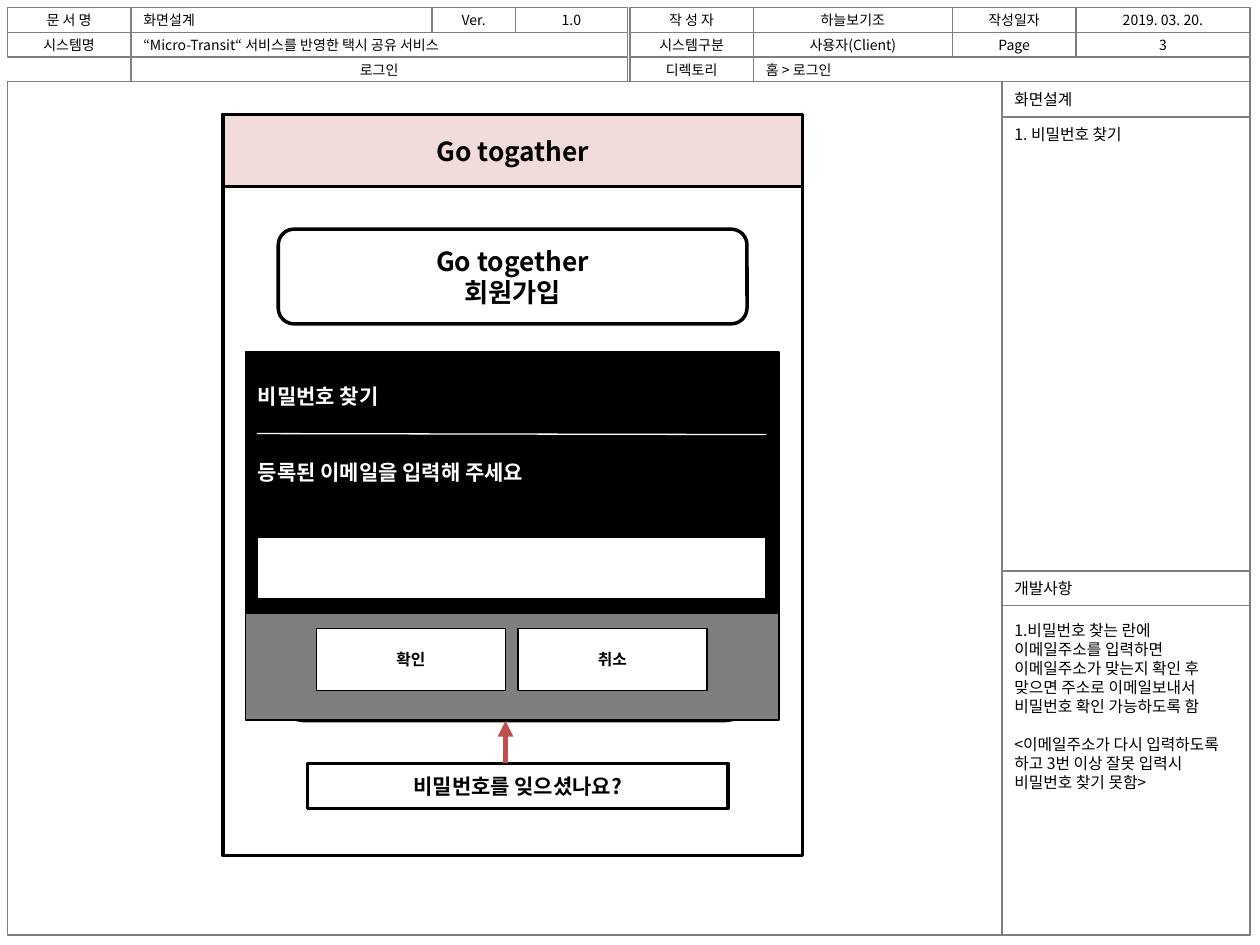
from lxml import etree
from pptx import Presentation
from pptx.dml.color import RGBColor
from pptx.enum.shapes import MSO_CONNECTOR, MSO_SHAPE
from pptx.enum.text import MSO_ANCHOR, PP_ALIGN
from pptx.oxml.ns import qn
from pptx.util import Cm, Pt

RECT, ROUND = MSO_SHAPE.RECTANGLE, MSO_SHAPE.ROUNDED_RECTANGLE
LEFT, CENTER = PP_ALIGN.LEFT, PP_ALIGN.CENTER
TOP, MIDDLE = MSO_ANCHOR.TOP, MSO_ANCHOR.MIDDLE
FONT = "Noto Sans CJK KR"
BLACK = RGBColor(0x00, 0x00, 0x00)
WHITE = RGBColor(0xFF, 0xFF, 0xFF)
GRAY = RGBColor(0x7F, 0x7F, 0x7F)
PINK = RGBColor(0xF2, 0xDC, 0xDB)
RED = RGBColor(0xC0, 0x50, 0x4D)

# Header grid in cm; each cell is (row, left edge, right edge, text, alignment)
EDGES = [0.15, 2.64, 8.71, 10.39, 12.65, 12.7, 15.19, 19.2, 21.69, 25.2]
HEADER_TOP, ROW_H = 0.15, 0.5
HEADER = [
    (0, 0, 1, "문 서 명", CENTER),
    (0, 1, 2, "화면설계", LEFT),
    (0, 2, 3, "Ver.", CENTER),
    (0, 3, 4, "1.0", CENTER),
    (0, 5, 6, "작 성 자", CENTER),
    (0, 6, 7, "하늘보기조", CENTER),
    (0, 7, 8, "작성일자", CENTER),
    (0, 8, 9, "2019. 03. 20.", CENTER),
    (1, 0, 1, "시스템명", CENTER),
    (1, 1, 4, "“Micro-Transit“ 서비스를 반영한 택시 공유 서비스", LEFT),
    (1, 5, 6, "시스템구분", CENTER),
    (1, 6, 7, "사용자(Client)", CENTER),
    (1, 7, 8, "Page", CENTER),
    (1, 8, 9, "3", CENTER),
    (2, 1, 4, "로그인", CENTER),
    (2, 5, 6, "디렉토리", CENTER),
    (2, 6, 9, "홈 > 로그인", LEFT),
]

# Side panels: top, bottom, lines, anchor, top inset, right inset, space between
PANEL_X, PANEL_W = 20.2, 5
PANELS = [
    (2.36, 11.51, ["1. 비밀번호 찾기"], TOP, 0.16, 0.25, 0),
    (1.65, 2.36, ["화면설계"], MIDDLE, 0.13, 0.25, 0),
    (11.51, 12.21, ["개발사항"], MIDDLE, 0.13, 0.25, 0),
    (12.21, 18.85, [
        "1.비밀번호 찾는 란에 이메일주소를 입력하면 이메일주소가 맞는지 확인 후 "
        "맞으면 주소로 이메일보내서 비밀번호 확인 가능하도록 함",
        "<이메일주소가 다시 입력하도록 하고 3번 이상 잘못 입력시 비밀번호 찾기 못함>",
    ], TOP, 0.31, 0.56, 10.9),
]

# Phone screen: shape, box, fill, lines, text size
SCREEN = [
    (RECT, (4.5, 2.31, 11.68, 14.94), WHITE, [], 0),
    (RECT, (4.5, 2.31, 11.68, 1.45), PINK, ["Go togather"], 15),
    (ROUND, (5.61, 4.62, 9.45, 1.91), WHITE, ["Go together", "회원가입"], 15),
    (ROUND, (5.08, 7.72, 10.59, 6.81), WHITE, [], 0),
    (RECT, (6.2, 15.39, 8.48, 0.91), WHITE, ["비밀번호를 잊으셨나요?"], 12),
]

DIALOG_X, DIALOG_W = 4.95, 10.75
DIALOG_TEXT = ["비밀번호 찾기", "등록된 이메일을 입력해 주세요"]
FIELD_X, FIELD_W = 5.18, 10.27
BUTTONS = ["확인", "취소"]
BUTTON_X, BUTTON_W, BUTTON_STEP = 6.38, 3.81, 4.06


def add_box(shapes, kind, box, line, width, fill=None):
    sp = shapes.add_shape(kind, *map(Cm, box))
    sp.shadow.inherit = False
    sp.line.color.rgb = line
    sp.line.width = Pt(width)
    if fill is None:
        sp.fill.background()
    else:
        sp.fill.solid()
        sp.fill.fore_color.rgb = fill
    return sp


def write(sp, lines, size, align=CENTER, anchor=MIDDLE, color=BLACK, bold=False, gap=0):
    """Fill a shape with paragraphs; gap is the space between them in points."""
    tf = sp.text_frame
    tf.word_wrap = True
    tf.vertical_anchor = anchor
    tf.text = "\n".join(lines)
    for i, p in enumerate(tf.paragraphs):
        p.alignment = align
        if i and gap:
            p.space_before = Pt(gap)
        for r in p.runs:
            r.font.size = Pt(size)
            r.font.bold = bold
            r.font.color.rgb = color
            r.font.name = FONT
            etree.SubElement(r.font._element, qn("a:ea"), typeface=FONT)


def add_line(shapes, ends, color, width, arrow=False):
    c = shapes.add_connector(MSO_CONNECTOR.STRAIGHT, *map(Cm, ends))
    c.line.color.rgb = color
    c.line.width = Pt(width)
    if arrow:
        etree.SubElement(c.line._get_or_add_ln(), qn("a:tailEnd"), type="triangle")
    etree.SubElement(c._element.spPr, qn("a:effectLst"))


def draw_header(shapes):
    add_box(shapes, RECT, (0.15, 1.65, 25.05, 17.2), GRAY, 0.75)
    for row, first, last, text, align in HEADER:
        box = (EDGES[first], HEADER_TOP + row * ROW_H, EDGES[last] - EDGES[first], ROW_H)
        write(add_box(shapes, RECT, box, GRAY, 0.75), [text], 8, align)


def draw_panels(shapes):
    for top, bottom, lines, anchor, inset_top, inset_right, gap in PANELS:
        sp = add_box(shapes, RECT, (PANEL_X, top, PANEL_W, bottom - top), GRAY, 0.75)
        write(sp, lines, 9, LEFT, anchor, gap=gap)
        sp.text_frame.margin_top = Cm(inset_top)
        sp.text_frame.margin_right = Cm(inset_right)


def draw_screen(shapes):
    for kind, box, fill, lines, size in SCREEN:
        sp = add_box(shapes, kind, box, BLACK, 2, fill)
        if lines:
            write(sp, lines, size, bold=True)


def draw_dialog(shapes):
    body = add_box(shapes, RECT, (DIALOG_X, 7.09, DIALOG_W, 5.27), BLACK, 1, BLACK)
    write(body, DIALOG_TEXT, 12, LEFT, TOP, WHITE, bold=True, gap=29)
    body.text_frame.margin_top = Cm(0.64)
    add_line(shapes, (FIELD_X, 8.74, FIELD_X + FIELD_W, 8.76), WHITE, 0.75)
    add_box(shapes, RECT, (FIELD_X, 10.82, FIELD_W, 1.25), BLACK, 1, WHITE)
    add_box(shapes, RECT, (DIALOG_X, 12.36, DIALOG_W, 2.16), BLACK, 1, GRAY)
    for i, label in enumerate(BUTTONS):
        box = (BUTTON_X + i * BUTTON_STEP, 12.67, BUTTON_W, 1.25)
        write(add_box(shapes, RECT, box, BLACK, 1, WHITE), [label], 9, bold=True)


def main():
    prs = Presentation()
    prs.slide_width, prs.slide_height = Cm(25.4), Cm(19.05)
    s = prs.slides.add_slide(prs.slide_layouts[6])
    draw_header(s.shapes)
    draw_panels(s.shapes)
    draw_screen(s.shapes)
    draw_dialog(s.shapes.add_group_shape().shapes)
    add_line(s.shapes, (10.19, 15.39, 10.19, 14.53), RED, 3, arrow=True)
    prs.save("out.pptx")


if __name__ == "__main__":
    main()
